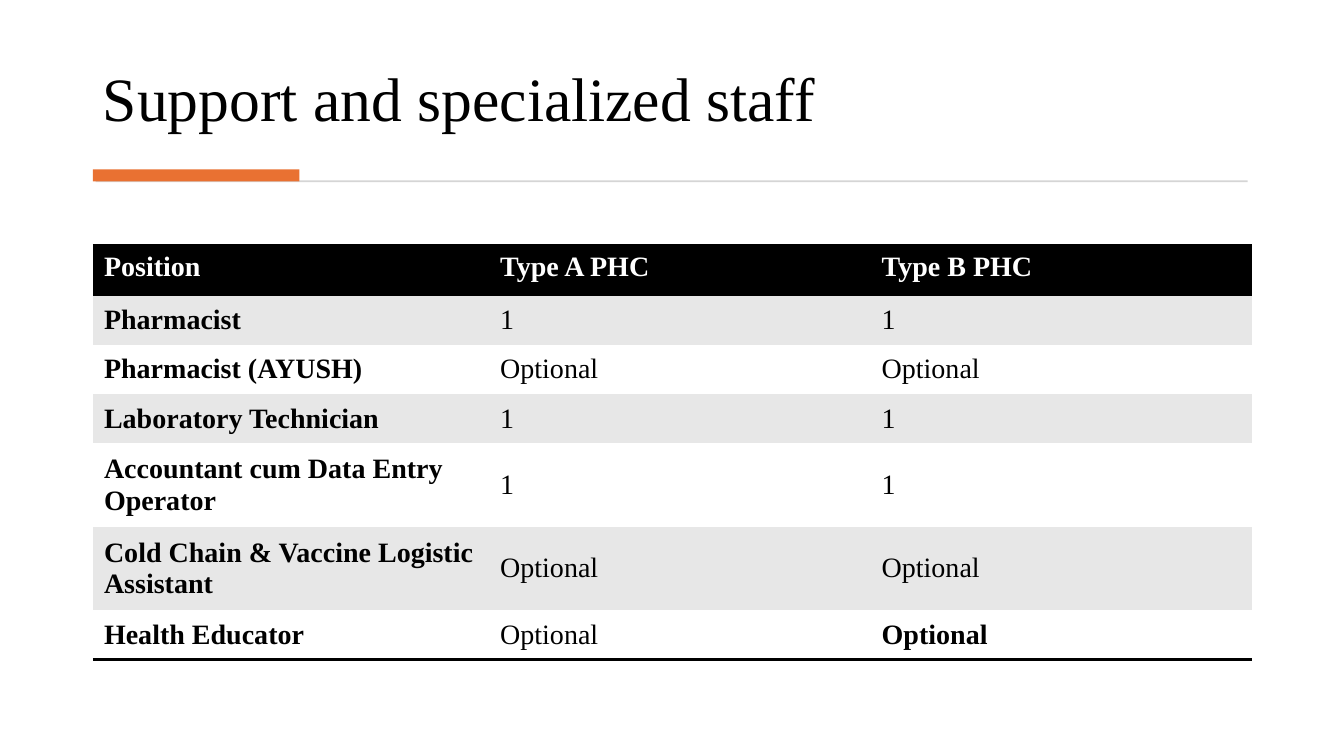
from dataclasses import dataclass

from lxml import etree
from pptx import Presentation
from pptx.dml.color import RGBColor
from pptx.enum.shapes import MSO_SHAPE
from pptx.enum.text import MSO_ANCHOR, MSO_AUTO_SIZE, PP_ALIGN
from pptx.oxml.ns import qn
from pptx.util import Pt

RECTANGLE = MSO_SHAPE.RECTANGLE
TOP, MIDDLE, BOTTOM = MSO_ANCHOR.TOP, MSO_ANCHOR.MIDDLE, MSO_ANCHOR.BOTTOM
LEFT = PP_ALIGN.LEFT
NO_AUTOFIT = MSO_AUTO_SIZE.NONE
PLAIN_TABLE_STYLE = "{2D5ABB26-0587-4C30-8999-92F81FD0307C}"


@dataclass(frozen=True)
class Theme:
    """Hold the colours, font and type sizes of the slide."""

    font: str = "Times New Roman"
    title_size: int = 44
    table_size: int = 20
    black: str = "000000"
    white: str = "FFFFFF"
    band: str = "E7E7E7"
    rule: str = "D5D5D5"
    accent: str = "E97132"


THEME = Theme()
STAFF = [
    ("Position", "Type A PHC", "Type B PHC"),
    ("Pharmacist", "1", "1"),
    ("Pharmacist (AYUSH)", "Optional", "Optional"),
    ("Laboratory Technician", "1", "1"),
    ("Accountant cum Data Entry Operator", "1", "1"),
    ("Cold Chain & Vaccine Logistic Assistant", "Optional", "Optional"),
    ("Health Educator", "Optional", "Optional"),
]
LAST_ROW = len(STAFF) - 1
TALL_ROWS = (4, 5)
BOLD_CELLS = {(LAST_ROW, 2)}


def style_font(paragraph, size, color, bold=False):
    """Set the theme font on a whole paragraph."""
    font = paragraph.font
    font.name = THEME.font
    font.size = Pt(size)
    font.bold = bold
    font.color.rgb = RGBColor.from_string(color)


def add_bar(slide, left, top, width, height, color):
    """Draw a filled bar without outline."""
    bar = slide.shapes.add_shape(RECTANGLE, Pt(left), Pt(top), Pt(width), Pt(height))
    bar.shadow.inherit = False
    bar.fill.solid()
    bar.fill.fore_color.rgb = RGBColor.from_string(color)
    bar.line.fill.background()


def add_heading(slide, left, top, width, height):
    """Place the title with the grey rule and accent bar below it."""
    title = slide.shapes.title
    title.left, title.top = Pt(left), Pt(top)
    title.width, title.height = Pt(width), Pt(height)
    frame = title.text_frame
    frame.text = "Support and specialized staff"
    frame.auto_size = NO_AUTOFIT
    frame.word_wrap = True
    frame.vertical_anchor = BOTTOM
    paragraph = frame.paragraphs[0]
    paragraph.alignment = LEFT
    paragraph.line_spacing = 0.9
    style_font(paragraph, THEME.title_size, THEME.black)
    bottom = top + height
    add_bar(slide, left + 2, bottom + 28.8, width - 4.5, 1.4, THEME.rule)
    add_bar(slide, left, bottom + 21, 147.6, 8.6, THEME.accent)


def add_border(cell, side):
    """Add a black two-point line to one side of a cell."""
    properties = cell._tc.get_or_add_tcPr()
    line = etree.SubElement(properties, qn(f"a:{side}"), w=str(Pt(2)))
    fill = etree.SubElement(line, qn("a:solidFill"))
    etree.SubElement(fill, qn("a:srgbClr"), val=THEME.black)


def format_cell(cell, row, column):
    """Format a cell by its place in the table."""
    header = row == 0
    if header:
        add_border(cell, "lnT")
    if row in (0, LAST_ROW):
        add_border(cell, "lnB")
    background = THEME.black if header else THEME.band if row % 2 else THEME.white
    cell.fill.solid()
    cell.fill.fore_color.rgb = RGBColor.from_string(background)
    cell.vertical_anchor = TOP if header else MIDDLE
    cell.margin_left = cell.margin_right = Pt(8)
    cell.margin_top = cell.margin_bottom = Pt(4)
    bold = header or column == 0 or (row, column) in BOLD_CELLS
    color = THEME.white if header else THEME.black
    style_font(cell.text_frame.paragraphs[0], THEME.table_size, color, bold)


def add_staff_table(slide, left, top, width, height):
    """Fill the box with the staff table."""
    tall = 59.5
    normal = (height - tall * len(TALL_ROWS)) / (len(STAFF) - len(TALL_ROWS))
    first = 283
    other = (width - first) / 2
    frame = slide.shapes.add_table(
        len(STAFF), 3, Pt(left), Pt(top), Pt(width), Pt(height)
    )
    table = frame.table
    table._tbl.tblPr.find(qn("a:tableStyleId")).text = PLAIN_TABLE_STYLE
    for column, size in zip(table.columns, (first, other, other)):
        column.width = Pt(size)
    for row, values in enumerate(STAFF):
        table.rows[row].height = Pt(tall if row in TALL_ROWS else normal)
        for column, value in enumerate(values):
            cell = table.cell(row, column)
            cell.text = value
            format_cell(cell, row, column)


def main():
    """Build and save the slide."""
    presentation = Presentation()
    presentation.slide_width, presentation.slide_height = Pt(960), Pt(540)
    slide = presentation.slides.add_slide(presentation.slide_layouts[5])
    add_heading(slide, 66.3, 20, 827.4, 80)
    add_staff_table(slide, 66.3, 175.5, 828, 295.5)
    presentation.save("out.pptx")


if __name__ == "__main__":
    main()
